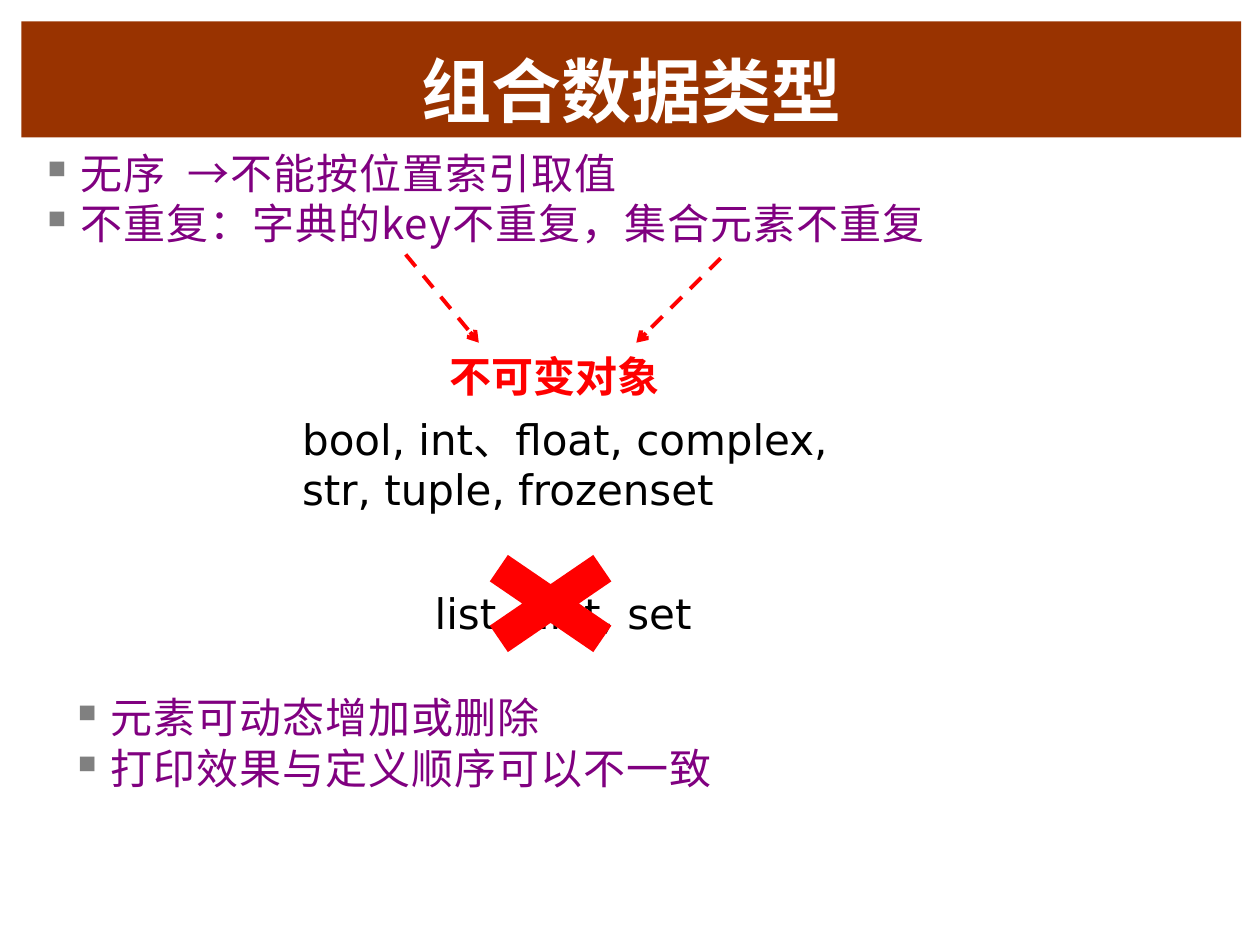
"""Build a slide on the properties of Python's unordered collection types."""
from lxml import etree
from pptx import Presentation
from pptx.dml import color
from pptx.enum import dml, shapes, text
from pptx.oxml import ns
from pptx.util import Inches, Pt

BROWN = color.RGBColor(0x99, 0x33, 0x00)
PURPLE = color.RGBColor(0x80, 0x00, 0x80)
RED = color.RGBColor(0xFF, 0x00, 0x00)
BLACK = color.RGBColor(0x00, 0x00, 0x00)
WHITE = color.RGBColor(0xFF, 0xFF, 0xFF)
GREY = "808080"
LATIN_FONT = "DejaVu Sans"
CHINESE_FONT = "Noto Sans CJK SC"
INDENT = Inches(0.26)


def add_element(parent, tag, **attributes):
    element = etree.SubElement(parent, ns.qn(tag))
    for name, value in attributes.items():
        element.set(name, str(value))
    return element


def add_run(paragraph, words, size, font, rgb, bold=False):
    run = paragraph.add_run()
    run.text = words
    run.font.size = Pt(size)
    run.font.name = font
    run.font.bold = bold
    run.font.color.rgb = rgb
    add_element(run.font._element, "a:ea", typeface=CHINESE_FONT)
    return run


presentation = Presentation()
presentation.slide_width = Inches(10)
presentation.slide_height = Inches(7.5)
slide = presentation.slides.add_slide(presentation.slide_layouts[6])

title = slide.shapes.add_shape(
    shapes.MSO_SHAPE.RECTANGLE, Inches(0.17), Inches(0.17), Inches(9.68), Inches(0.92)
)
title.shadow.inherit = False
title.fill.solid()
title.fill.fore_color.rgb = BROWN
title.line.fill.background()
title.text_frame.word_wrap = True
title.text_frame.vertical_anchor = text.MSO_ANCHOR.BOTTOM
title.text_frame.paragraphs[0].alignment = text.PP_ALIGN.CENTER
add_run(title.text_frame.paragraphs[0], "组合数据类型", 40, LATIN_FONT, WHITE, True)

bullet_lists = [
    (0.28, 1.12, 8.94, ["无序  →不能按位置索引取值", "不重复：字典的key不重复，集合元素不重复"]),
    (0.52, 5.44, 5.89, ["元素可动态增加或删除", "打印效果与定义顺序可以不一致"]),
]
for left, top, width, items in bullet_lists:
    box = slide.shapes.add_textbox(Inches(left), Inches(top), Inches(width), Inches(0.91))
    frame = box.text_frame
    frame.word_wrap = True
    for index, item in enumerate(items):
        paragraph = frame.add_paragraph() if index else frame.paragraphs[0]
        properties = paragraph._p.get_or_add_pPr()
        properties.set("marL", str(INDENT))
        properties.set("indent", str(-INDENT))
        bullet_color = add_element(properties, "a:buClr")
        add_element(bullet_color, "a:srgbClr", val=GREY)
        add_element(properties, "a:buSzPct", val=60000)
        add_element(properties, "a:buChar", char="■")
        run = add_run(paragraph, item, 24, CHINESE_FONT, PURPLE)
        run.font._element.set("spc", "60")

for start_x, start_y, end_x, end_y in [(3.22, 2.02, 3.8, 2.72), (5.72, 2.05, 5.05, 2.72)]:
    arrow = slide.shapes.add_connector(
        shapes.MSO_CONNECTOR.STRAIGHT,
        Inches(start_x), Inches(start_y), Inches(end_x), Inches(end_y),
    )
    arrow.line.color.rgb = RED
    arrow.line.width = Pt(2.25)
    arrow.line.dash_style = dml.MSO_LINE.DASH
    add_element(arrow.line._get_or_add_ln(), "a:tailEnd", type="arrow")
    add_element(arrow._element.spPr, "a:effectLst")

labels = [
    (3.47, 2.73, 2, 0.5, "不可变对象", RED, True, text.PP_ALIGN.LEFT),
    (2.3, 3.23, 4.67, 0.91, "bool, int、float, complex, str, tuple, frozenset",
     BLACK, False, text.PP_ALIGN.LEFT),
    (2.93, 4.61, 3.08, 0.51, "list, dict, set", BLACK, False, text.PP_ALIGN.CENTER),
]
for left, top, width, height, words, rgb, bold, alignment in labels:
    label = slide.shapes.add_textbox(Inches(left), Inches(top), Inches(width), Inches(height))
    label.text_frame.word_wrap = True
    paragraph = label.text_frame.paragraphs[0]
    paragraph.alignment = alignment
    add_run(paragraph, words, 24, LATIN_FONT, rgb, bold)

cross = slide.shapes.add_shape(
    shapes.MSO_SHAPE.MATH_MULTIPLY, Inches(3.58), Inches(4.25), Inches(1.58), Inches(1.08)
)
cross.shadow.inherit = False
cross.fill.solid()
cross.fill.fore_color.rgb = RED
cross.line.fill.background()

presentation.save("out.pptx")
